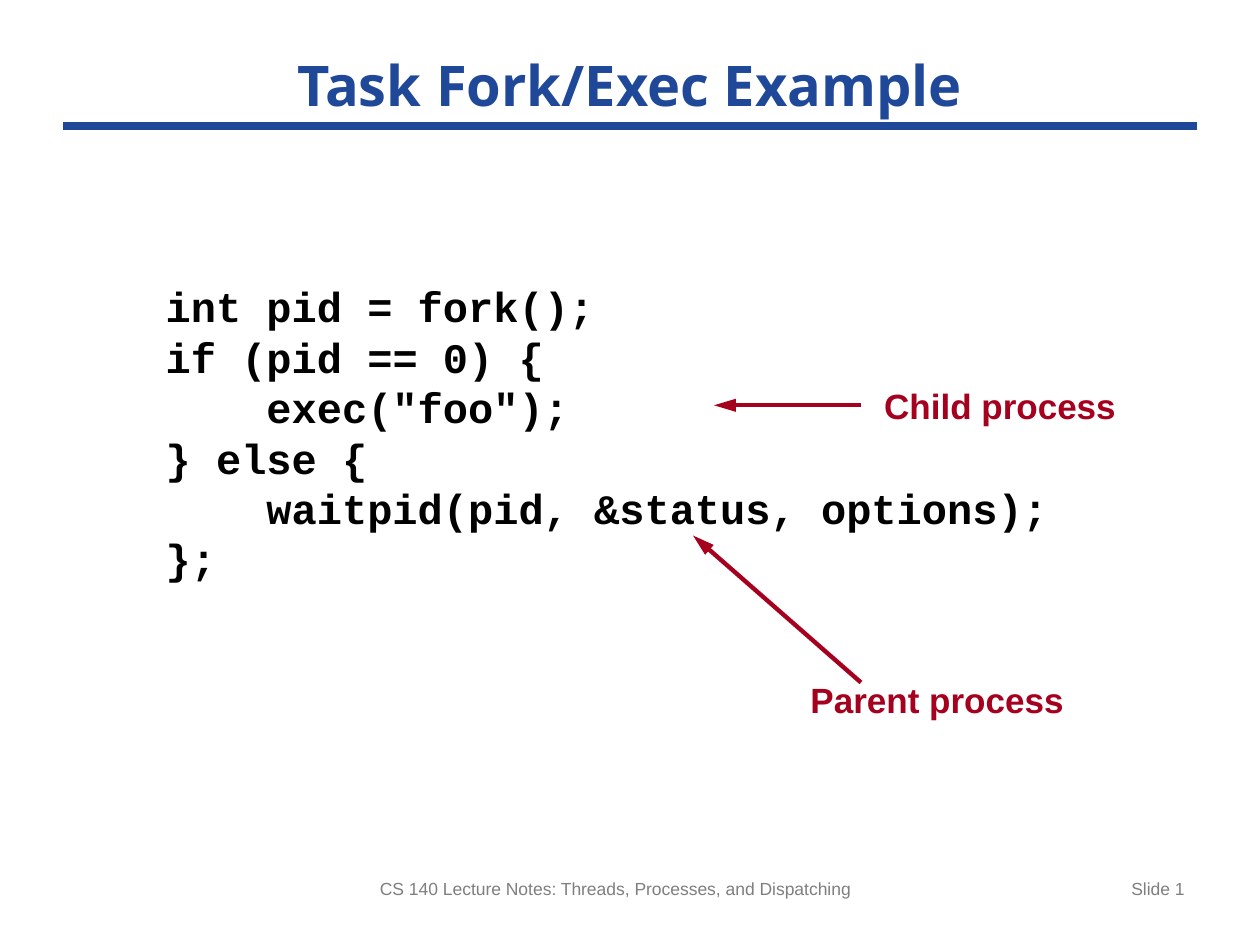
from pptx import Presentation
from pptx.dml.color import RGBColor
from pptx.enum.shapes import MSO_CONNECTOR as Connector
from pptx.enum.text import MSO_ANCHOR as Anchor, PP_ALIGN as Align
from pptx.oxml.ns import qn
from pptx.util import Pt
from lxml.etree import SubElement

COLORS = {"blue": "1F4899", "red": "A5001E", "gray": "7F7F7F", "black": "000000"}
INDENT = 57.6  # four characters of the code font

CODE = [
    (0, "int pid = fork();"),
    (0, "if (pid == 0) {"),
    (1, 'exec("foo");'),
    (0, "} else {"),
    (1, "waitpid(pid, &status, options);"),
    (0, "};"),
]


def color(name):
    """Return the named colour."""
    return RGBColor.from_string(COLORS[name])


def format_paragraph(paragraph, font, size, color_name, bold=False, align=Align.LEFT):
    """Set alignment and font of a paragraph."""
    paragraph.alignment = align
    paragraph.font.name = font
    paragraph.font.size = Pt(size)
    paragraph.font.bold = bold
    paragraph.font.color.rgb = color(color_name)


def place(shape, left, top, width, height):
    """Move and size a shape."""
    shape.left, shape.top = Pt(left), Pt(top)
    shape.width, shape.height = Pt(width), Pt(height)


def add_title(slide, text):
    """Fill the title placeholder."""
    title = slide.shapes.title
    place(title, 36, 24, 648, 48)
    title.text_frame.text = text
    title.text_frame.vertical_anchor = Anchor.MIDDLE
    format_paragraph(title.text_frame.paragraphs[0], "Open Sans", 32, "blue", True, Align.CENTER)


def add_text(slide, text, box, size, color_name, bold=False, align=Align.LEFT, wrap=True):
    """Add one line of Arial text."""
    frame = slide.shapes.add_textbox(*map(Pt, box)).text_frame
    frame.word_wrap = wrap
    frame.text = text
    format_paragraph(frame.paragraphs[0], "Arial", size, color_name, bold, align)


def add_code(slide, lines, box):
    """Add a code listing, indented by level."""
    frame = slide.shapes.add_textbox(*map(Pt, box)).text_frame
    frame.word_wrap = True
    frame.text = "\n".join(text for _, text in lines)
    for paragraph, (level, _) in zip(frame.paragraphs, lines):
        format_paragraph(paragraph, "Courier New", 24, "black", True)
        paragraph.line_spacing = Pt(28.8)
        paragraph._p.get_or_add_pPr().set("marL", str(Pt(level * INDENT)))


def add_line(slide, start, end, color_name, width, arrow=False):
    """Add a straight line, with an arrowhead at its end if asked."""
    line = slide.shapes.add_connector(Connector.STRAIGHT, *map(Pt, start + end))
    line.line.color.rgb = color(color_name)
    line.line.width = Pt(width)
    if arrow:
        SubElement(line.line._get_or_add_ln(), qn("a:tailEnd"), type="triangle", len="lg")
    SubElement(line._element.spPr, qn("a:effectLst"))


def add_callout(slide, text, box, start, end):
    """Add a red label and the arrow that leads from it."""
    add_text(slide, text, box, 20, "red", True, Align.CENTER, wrap=False)
    add_line(slide, start, end, "red", 2.5, arrow=True)


def main():
    """Build and save the slide."""
    presentation = Presentation()
    presentation.slide_width, presentation.slide_height = Pt(720), Pt(540)
    slide = presentation.slides.add_slide(presentation.slide_layouts[5])

    add_line(slide, (36, 72), (684, 72), "blue", 4.5)
    add_text(slide, "CS 140 Lecture Notes: Threads, Processes, and Dispatching",
             (210, 498, 300, 31), 10, "gray")
    add_text(slide, "Slide 1", (516, 498, 168, 31), 10, "gray", align=Align.RIGHT)
    add_title(slide, "Task Fork/Exec Example")
    add_code(slide, CODE, (87.6, 157, 523, 211))
    add_callout(slide, "Child process", (498, 216, 147, 31), (492, 231.6), (408, 231.6))
    add_callout(slide, "Parent process", (456, 384, 159, 31), (492, 390), (396, 306))

    presentation.save("out.pptx")


main()
